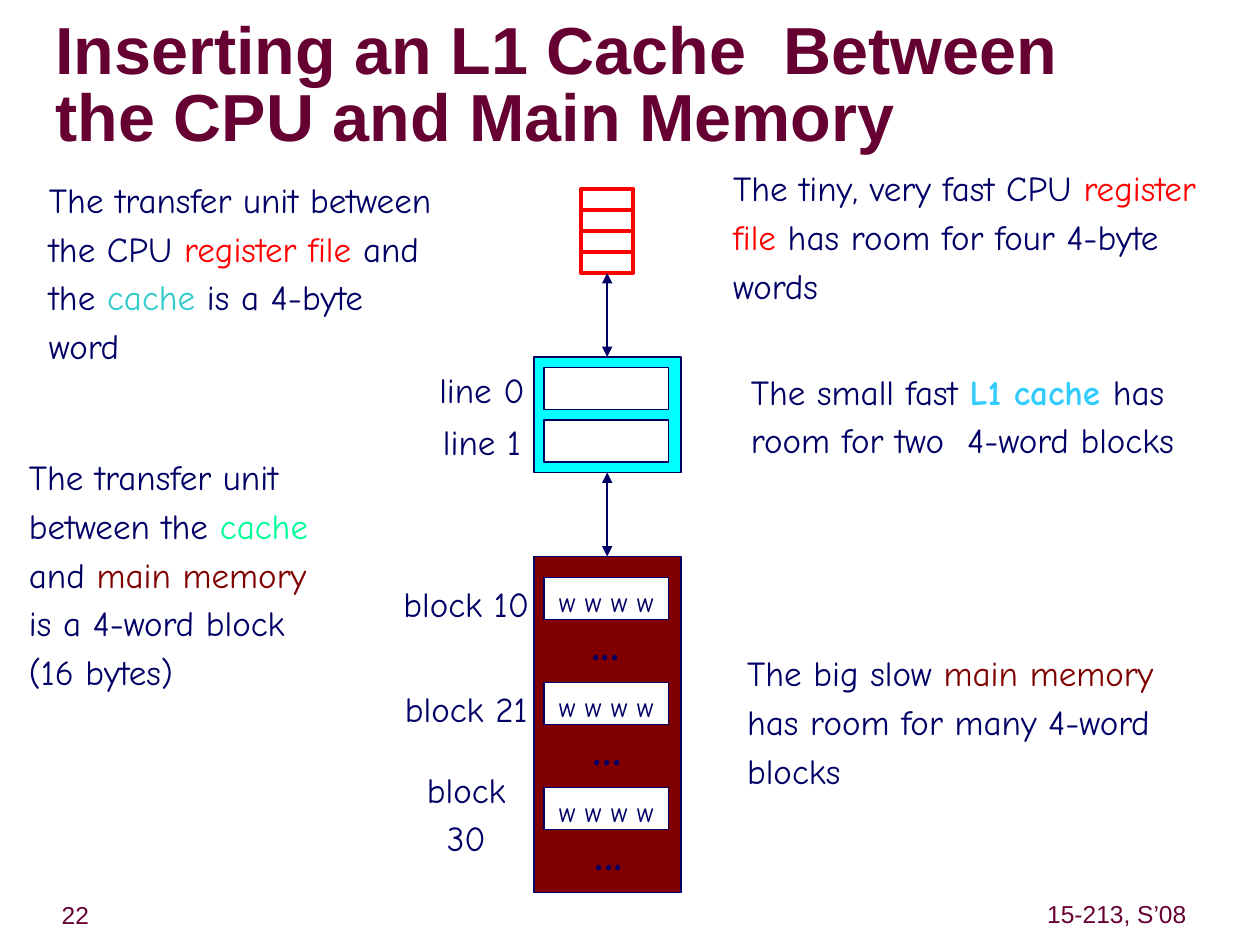
from dataclasses import dataclass
from lxml.etree import SubElement as Sub
from pptx import Presentation
from pptx.dml.color import RGBColor as RGB
from pptx.enum.shapes import MSO_CONNECTOR as Conn, MSO_SHAPE as Shape
from pptx.enum.text import MSO_ANCHOR as Anchor, PP_ALIGN as Align
from pptx.oxml.ns import qn
from pptx.util import Pt


@dataclass(frozen=True)
class Theme:
    head: str = "Arial"
    body: str = "Comic Neue"
    wine: str = "660033"
    navy: str = "000066"
    red: str = "FF0000"
    teal: str = "33CCCC"
    mint: str = "00FF99"
    sky: str = "33CCFF"
    cyan: str = "00FFFF"
    brown: str = "800000"
    white: str = "FFFFFF"
    title: int = 38
    dots: int = 36
    text: int = 20
    word: int = 16
    foot: int = 14


T = Theme()
MID = 347


def write(shape, runs, size=T.text, font=T.body, align=Align.LEFT,
          gap=1.16, wrap=True, pad=(7.2, 3.6)):
    frame = shape.text_frame
    frame.word_wrap = wrap
    frame.vertical_anchor = Anchor.MIDDLE
    frame.margin_left = frame.margin_right = Pt(pad[0])
    frame.margin_top = frame.margin_bottom = Pt(pad[1])
    para = frame.paragraphs[0]
    para.alignment = align
    para.line_spacing = gap
    for text, color, *bold in runs:
        if text == "\n":
            para.add_line_break()
            continue
        run = para.add_run()
        run.text = text
        run.font.name = font
        run.font.size = Pt(size)
        run.font.bold = bool(bold)
        run.font.color.rgb = RGB.from_string(color)


def note(slide, box, runs, **style):
    write(slide.shapes.add_textbox(*map(Pt, box)), runs, **style)


def label(slide, mid, top, text):
    note(slide, (mid - 44, top, 88, 35), [(text, T.navy)],
         align=Align.CENTER, wrap=False)


def rect(slide, box, fill=None, line=T.navy, width=1):
    shape = slide.shapes.add_shape(Shape.RECTANGLE, *map(Pt, box))
    shape.shadow.inherit = False
    if fill:
        shape.fill.solid()
        shape.fill.fore_color.rgb = RGB.from_string(fill)
    else:
        shape.fill.background()
    shape.line.color.rgb = RGB.from_string(line)
    shape.line.width = Pt(width)
    return shape


def cell(slide, top):
    return rect(slide, (311, top, 71, 24), T.white)


def arrow(slide, upper, lower):
    link = slide.shapes.add_connector(Conn.STRAIGHT, 0, 0, 0, 0)
    link.begin_connect(upper, 2)
    link.end_connect(lower, 0)
    link.line.color.rgb = RGB.from_string(T.navy)
    link.line.width = Pt(1)
    line = link.line._get_or_add_ln()
    for end in ("a:headEnd", "a:tailEnd"):
        Sub(line, qn(end), type="triangle")
    Sub(link._element.spPr, qn("a:effectLst"))


def frame(slide):
    foot = dict(size=T.foot, font=T.head, align=Align.CENTER, gap=0.88,
                wrap=False, pad=(3.6, 3.6))
    note(slide, (3.6, 512.6, 75, 22.3), [(" 22", T.wine)], **foot)
    note(slide, (594.7, 512, 87, 22.3), [("15-213, S’08", T.wine)], **foot)
    note(slide, (31.7, 8.6, 686, 83),
         [("Inserting an L1 Cache  Between ", T.wine, True), ("\n", T.wine),
          ("the CPU and Main Memory", T.wine, True)],
         size=T.title, font=T.head, gap=0.85, pad=(0, 0))


def store(slide):
    for row in range(4):
        file = rect(slide, (MID - 15, 108 + 12 * row, 30, 12),
                    line=T.red, width=2.25)
    cache = rect(slide, (MID - 42, 204, 84, 66), T.cyan)
    main = rect(slide, (MID - 42, 318, 84, 192), T.brown)
    arrow(slide, file, cache)
    arrow(slide, cache, main)
    for row in range(2):
        top = 210 + 30 * row
        cell(slide, top)
        label(slide, 275.5, top - 7, f"line {row}")
    for row, num in enumerate((10, 21, 30)):
        top = 330 + 60 * row
        write(cell(slide, top), [("w w w w", T.navy)], size=T.word,
              align=Align.CENTER, wrap=False)
        label(slide, 266.5, top - 4.5, f"block {num}")
        note(slide, (MID - 21.5 + row, top + 0.8, 41, 58), [("...", T.navy)],
             size=T.dots, align=Align.CENTER, wrap=False)


def notes(slide):
    note(slide, (411.8, 88, 298, 90.5),
         [("The tiny, very fast CPU ", T.navy), ("register file", T.red),
          (" has room for four 4-byte words", T.navy)])
    note(slide, (9.4, 252.7, 192.2, 147),
         [("The transfer unit between the ", T.navy), ("cache", T.mint),
          (" and ", T.navy), ("main memory", T.brown),
          (" is a 4-word block (16 bytes)", T.navy)])
    note(slide, (20.9, 94.3, 236.2, 119),
         [("The transfer unit between the CPU ", T.navy),
          ("register file", T.red), (" and the ", T.navy),
          ("cache", T.teal), (" is a 4-byte word", T.navy)])
    note(slide, (422, 203.8, 288, 63.4),
         [("The small fast ", T.navy), ("L1 cache ", T.sky, True),
          ("has room for two  4-word blocks", T.navy)])
    note(slide, (419.8, 365, 255.6, 90.7),
         [("The big slow ", T.navy), ("main memory", T.brown),
          (" has room for many 4-word blocks", T.navy)])


def main():
    deck = Presentation()
    deck.slide_width, deck.slide_height = Pt(720), Pt(540)
    slide = deck.slides.add_slide(deck.slide_layouts[6])
    frame(slide)
    store(slide)
    notes(slide)
    deck.save("out.pptx")


if __name__ == "__main__":
    main()
